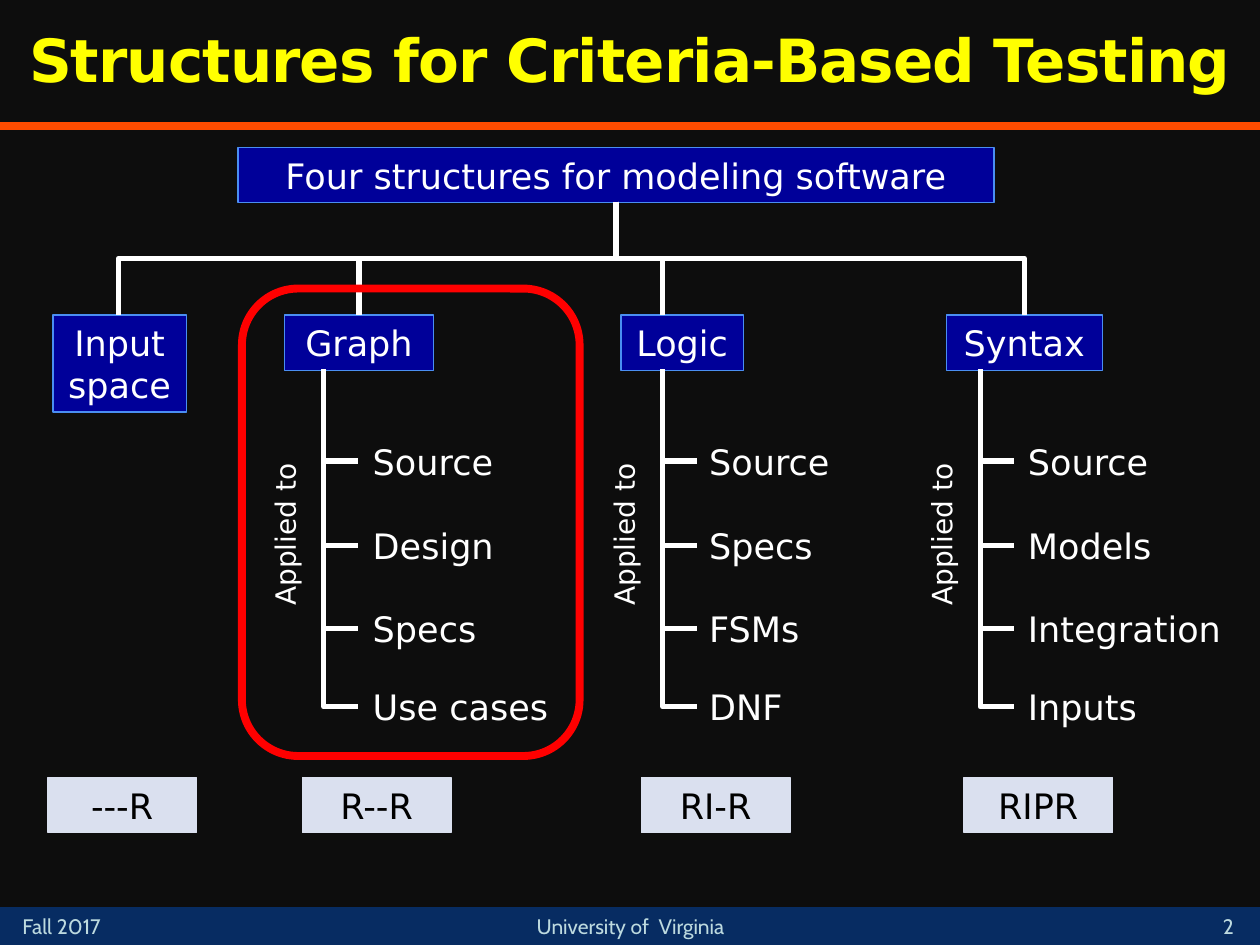
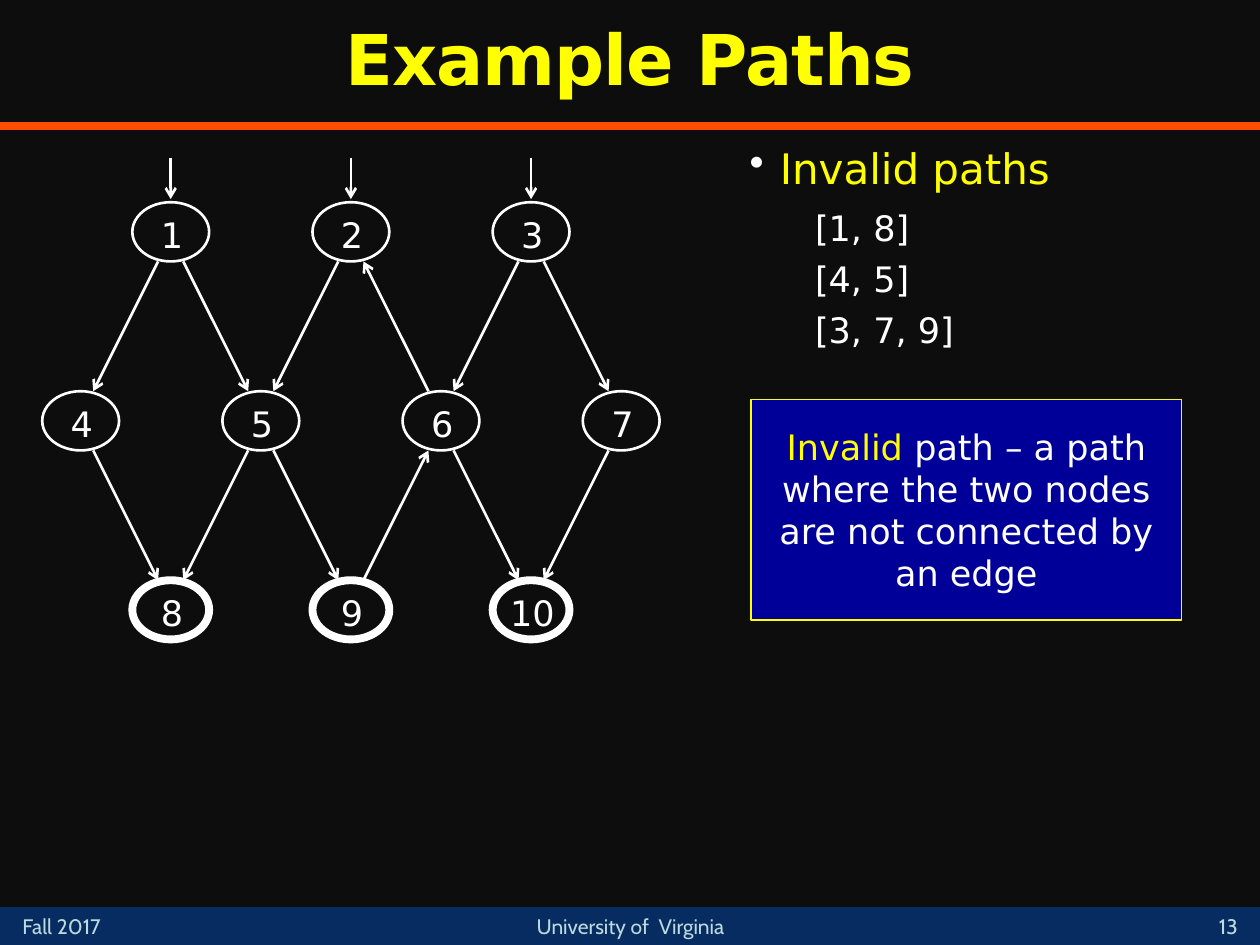
from lxml import etree
from pptx import Presentation
from pptx.dml.color import RGBColor
from pptx.enum.shapes import MSO_CONNECTOR as LINK, MSO_SHAPE as SHAPE
from pptx.enum.text import MSO_ANCHOR as ANCHOR, PP_ALIGN as ALIGN
from pptx.oxml.ns import qn
from pptx.util import Inches, Pt

COLORS = {
    "background": "0D0D0D", "footer": "072C62", "footer text": "BDDADF",
    "rule": "FF4C00", "yellow": "FFFF00", "white": "FFFFFF", "black": "000000",
    "box": "000099", "box edge": "4A8EF2", "badge": "DAE0EF", "highlight": "FF0000",
}
RGB = {name: RGBColor.from_string(value) for name, value in COLORS.items()}
BODY_FONT, FOOTER_FONT = "DejaVu Sans", "Cabin"


def add_box(slide, box, text="", size=20, color="white", align=ALIGN.CENTER,
            font=BODY_FONT, shape=None, fill=None, edge=None, weight=0.75):
    """Add a text box, or a preset shape holding text; box is left, top, width, height."""
    place = [Inches(v) for v in box]
    if shape is None:
        item = slide.shapes.add_textbox(*place)
    else:
        item = slide.shapes.add_shape(shape, *place)
        item.shadow.inherit = False
        if fill:
            item.fill.solid()
            item.fill.fore_color.rgb = RGB[fill]
        else:
            item.fill.background()
        if edge:
            item.line.color.rgb = RGB[edge]
            item.line.width = Pt(weight)
        else:
            item.line.fill.background()
    frame = item.text_frame
    frame.word_wrap = True
    frame.vertical_anchor = ANCHOR.MIDDLE
    frame.text = text
    for paragraph in frame.paragraphs:
        paragraph.alignment = align
        for run in paragraph.runs:
            run.font.name = font
            run.font.size = Pt(size)
            run.font.color.rgb = RGB[color]
    return item


def add_line(slide, start, end, color="white", weight=1.5, elbow=None, arrow=False):
    """Add a straight line, or an elbow that leaves its start downwards."""
    (x1, y1), (x2, y2) = start, end
    if elbow:
        # The preset runs sideways, so lay it out unturned and then rotate it
        across, down = abs(x2 - x1), y2 - y1
        left, top = (x1 + x2 - down) / 2, (y1 + y2 - across) / 2
        line = slide.shapes.add_connector(LINK.ELBOW, Inches(left), Inches(top),
                                          Inches(left + down), Inches(top + across))
        properties = line._element.spPr
        properties.find(qn("a:prstGeom")).set("prst", elbow)
        turned = properties.find(qn("a:xfrm"))
        turned.set("rot", str((270 if x2 > x1 else 90) * 60000))
        if x2 > x1:
            turned.set("flipH", "1")
    else:
        line = slide.shapes.add_connector(LINK.STRAIGHT, Inches(x1), Inches(y1),
                                          Inches(x2), Inches(y2))
    line.line.color.rgb = RGB[color]
    line.line.width = Pt(weight)
    if arrow:
        etree.SubElement(line.line._get_or_add_ln(), qn("a:tailEnd"), type="arrow")
    etree.SubElement(line._element.spPr, qn("a:effectLst"))


deck = Presentation()
deck.slide_width, deck.slide_height = Inches(10), Inches(7.5)

# Shared frame: background, footer band, rule and title
slides = []
for title, title_size, number in [("Structures for Criteria-Based Testing", 34, "2"),
                                  ("Example Paths", 40, "13")]:
    slide = deck.slides.add_slide(deck.slide_layouts[6])
    slide.background.fill.solid()
    slide.background.fill.fore_color.rgb = RGB["background"]
    add_box(slide, (0, 7.2, 10, 0.3), shape=SHAPE.RECTANGLE, fill="footer")
    add_line(slide, (0, 1), (10, 1), "rule", 4.5)
    for left, width, text, align in [(0.08, 1.17, "Fall 2017", ALIGN.LEFT),
                                     (9.5, 0.5, number, ALIGN.CENTER),
                                     (3.67, 2.67, "University of  Virginia", ALIGN.CENTER)]:
        add_box(slide, (left, 7.2, width, 0.3), text, 12, "footer text", align, FOOTER_FONT)
    heading = add_box(slide, (0, 0, 10, 1), title, title_size, "yellow")
    heading_line = heading.text_frame.paragraphs[0]
    heading_line.line_spacing = 0.9
    heading_line.runs[0].font.bold = True
    heading_line.runs[0].font._element.set("spc", "-50")
    slides.append(slide)
structures, paths = slides

# Slide 1: root and the four structures
blue_box = dict(shape=SHAPE.RECTANGLE, fill="box", edge="box edge")
add_box(structures, (1.89, 1.17, 6, 0.44), "Four structures for modeling software", **blue_box)
add_box(structures, (0.42, 2.5, 1.06, 0.77), "Input space", **blue_box)

# Name, box left, box width, spine x, label left, applications
branches = [
    ("Graph", 2.26, 1.18, 2.57, 2.86, ["Source", "Design", "Specs", "Use cases"]),
    ("Logic", 4.93, 0.97, 5.26, 5.53, ["Source", "Specs", "FSMs", "DNF"]),
    ("Syntax", 7.51, 1.24, 7.78, 8.06, ["Source", "Models", "Integration", "Inputs"]),
]
tick_heights = [3.66, 4.33, 4.99, 5.61]
for name, left, width, spine, label_left, applications in branches:
    add_box(structures, (left, 2.5, width, 0.44), name, **blue_box)
    for application, y in zip(applications, tick_heights):
        add_box(structures, (label_left, y - 0.22, 1.85, 0.44), application, align=ALIGN.LEFT)
        add_line(structures, (spine, 2.93), (spine + 0.27, y), weight=3, elbow="bentConnector2")
    applied = add_box(structures, (spine - 1.12, 3.91, 1.62, 0.37), "Applied to", 16,
                      align=ALIGN.LEFT)
    applied.rotation = 270

for x in (0.94, 2.85, 5.26, 8.13):
    add_line(structures, (4.89, 1.6), (x, 2.5), weight=3, elbow="bentConnector3")

# Highlight around the graph branch, and the badges below
add_box(structures, (1.92, 2.29, 2.68, 3.71), shape=SHAPE.ROUNDED_RECTANGLE,
        edge="highlight", weight=4.5)
for left, badge in [(0.38, "---R"), (2.4, "R--R"), (5.09, "RI-R"), (7.65, "RIPR")]:
    add_box(structures, (left, 6.17, 1.18, 0.44), badge, color="black",
            shape=SHAPE.RECTANGLE, fill="badge", edge="badge")

# Slide 2: graph nodes, in rows of staggered columns
NODE_W, NODE_H, COLUMN_GAP, ROW_GAP = 0.61, 0.47, 1.43, 1.5
centers = {}
node = 1
for row, (first_column, count) in enumerate([(0.5, 3), (0, 4), (0.5, 3)]):
    for column in range(count):
        x = 0.64 + (first_column + column) * COLUMN_GAP
        y = 1.84 + row * ROW_GAP
        centers[node] = (x, y)
        oval = add_box(paths, (x - NODE_W / 2, y - NODE_H / 2, NODE_W, NODE_H), str(node),
                       shape=SHAPE.OVAL, edge="white", weight=4.5 if row == 2 else 1.5)
        label = oval.text_frame
        label.word_wrap = False
        label.margin_left, label.margin_top = Inches(0.02), Inches(0.05)
        label.margin_right = label.margin_bottom = 0
        if row == 0:
            add_line(paths, (x, 1.25), (x, 1.58), arrow=True)
        node += 1

# Edges run from rim to rim
edges = [(1, 4), (1, 5), (2, 5), (6, 2), (3, 6), (3, 7),
         (4, 8), (5, 8), (5, 9), (9, 6), (6, 10), (7, 10)]
for source, target in edges:
    (x1, y1), (x2, y2) = centers[source], centers[target]
    dx = 0.1 if x2 > x1 else -0.1
    dy = NODE_H / 2 if y2 > y1 else -NODE_H / 2
    add_line(paths, (x1 + dx, y1 + dy), (x2 - dx, y2 - dy), arrow=True)

# Invalid paths list
listing = add_box(paths, (5.84, 1.08, 3.82, 2.02),
                  "Invalid paths\n[1, 8]\n[4, 5]\n[3, 7, 9]", align=ALIGN.LEFT).text_frame
listing.vertical_anchor = ANCHOR.TOP
topic, *examples = listing.paragraphs
topic.space_after = Pt(3)
topic.runs[0].font.size = Pt(24)
topic.runs[0].font.color.rgb = RGB["yellow"]
topic_format = topic._p.get_or_add_pPr()
topic_format.set("marL", str(Inches(0.25)))
topic_format.set("indent", str(Inches(-0.24)))
bullet_color = etree.SubElement(topic_format, qn("a:buClr"))
etree.SubElement(bullet_color, qn("a:srgbClr"), val=COLORS["white"])
etree.SubElement(topic_format, qn("a:buChar"), char="\u2022")
for example in examples:
    example.space_before = Pt(5)
    example._p.get_or_add_pPr().set("marL", str(Inches(0.53)))

# Definition, with its first word picked out
definition = add_box(paths, (5.96, 3.17, 3.42, 1.75), "Invalid", color="yellow",
                     shape=SHAPE.RECTANGLE, fill="box", edge="yellow")
meaning = definition.text_frame.paragraphs[0].add_run()
meaning.text = " path \u2013 a path where the two nodes are not connected by an edge"
meaning.font.name = BODY_FONT
meaning.font.size = Pt(20)
meaning.font.color.rgb = RGB["white"]

deck.save("out.pptx")
